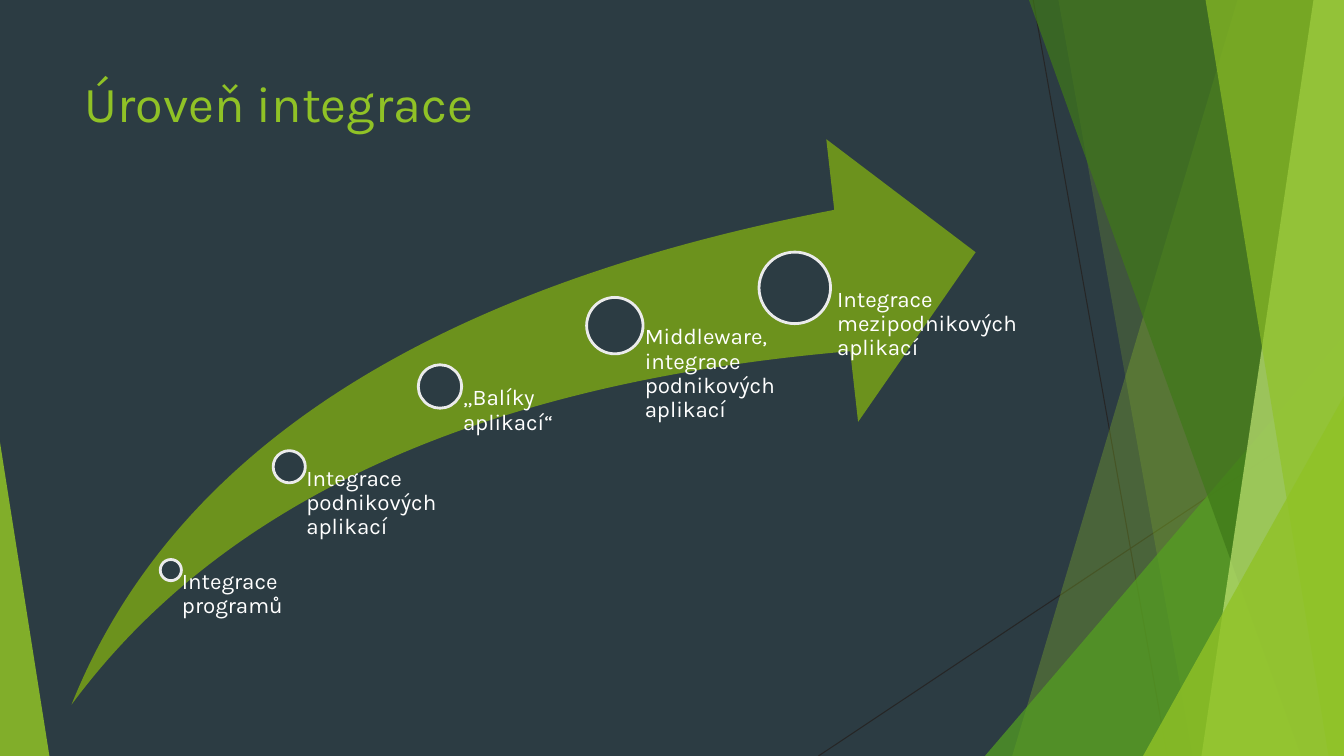
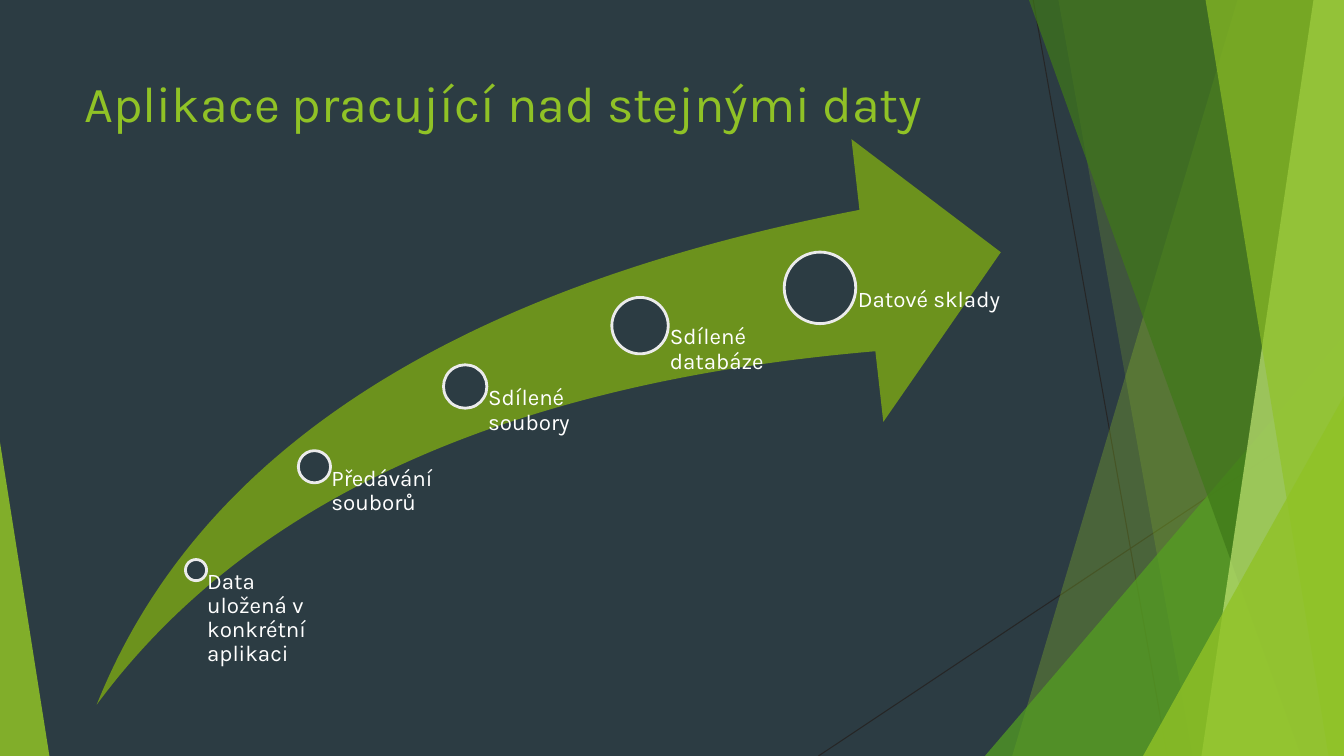
"""Build two slides that show integration steps along a rising arrow."""
from lxml import etree
from pptx import Presentation
from pptx.dml.color import RGBColor
from pptx.enum import shapes, text
from pptx.oxml import ns
from pptx.util import Pt

HUES = {
    "back": "2C3C43", "lime": "90C226", "green": "54A021", "dark": "3F7819",
    "pale": "C0E474", "arrow": "6C921D", "ring": "EBEBEB", "wire": "262626",
    "white": "FFFFFF",
}
FONT = "Karla"
WIDE, HIGH = 960, 540
KIND = shapes.MSO_SHAPE

WIRES = [(738, 0, 833.8, 540), (960, 290.2, 584.6, 540)]
DECOR = [
    ("band", (884, 723), "lime", 30),
    ("band", (756, 852), "lime", 20),
    ("peak", (703.5, 240, 256.5, 1), "green", 72),
    ("band", (735, 929.5), "dark", 70),
    ("band", (938.2, 858.2), "pale", 70),
    ("band", (861.1, 949), "lime", 65),
    ("peak", (816.5, 283, 143.5, 1), "lime", 80),
    ("peak", (0, 316, 35.3, 0), "lime", 85),
]

TOP, LONG, TALL = 99.4, 645.8, 403.9
STOPS = [
    (70.9, 407.2, 15.1, 85),
    (155.5, 333.4, 23, 107),
    (263.2, 276.1, 31, 124.5),
    (388.1, 232.6, 40.3, 129),
    (516.6, 205.6, 51.1, 129),
]
PAGES = [
    ("Úroveň integrace", 51.1, (3.2, 72), [
        "Integrace programů",
        "Integrace podnikových aplikací",
        "„Balíky aplikací“",
        "Middleware, integrace podnikových aplikací",
        "Integrace mezipodnikových aplikací",
    ]),
    ("Aplikace pracující nad stejnými daty", 69.1, (0, 0), [
        "Data uložená v konkrétní aplikaci",
        "Předávání souborů",
        "Sdílené soubory",
        "Sdílené databáze",
        "Datové sklady",
    ]),
]


def paint(shape, hue, alpha=100):
    shape.shadow.inherit = False
    shape.fill.solid()
    shape.fill.fore_color.rgb = RGBColor.from_string(HUES[hue])
    shape.line.fill.background()
    if alpha < 100:
        tone = shape._element.spPr.find(".//" + ns.qn("a:srgbClr"))
        etree.SubElement(tone, ns.qn("a:alpha"), val=str(alpha * 1000))


def write(slide, place, words, size, hue, pads, gap):
    frame = slide.shapes.add_textbox(*map(Pt, place)).text_frame
    frame.word_wrap = True
    frame.vertical_anchor = text.MSO_ANCHOR.TOP
    frame.margin_left, frame.margin_top, frame.margin_right, frame.margin_bottom = map(Pt, pads)
    para = frame.paragraphs[0]
    para.line_spacing = gap
    run = para.add_run()
    run.text = words
    run.font.size = Pt(size)
    run.font.name = FONT
    run.font.color.rgb = RGBColor.from_string(HUES[hue])


deck = Presentation()
deck.slide_width, deck.slide_height = Pt(WIDE), Pt(HIGH)
back = deck.slide_master.background.fill
back.solid()
back.fore_color.rgb = RGBColor.from_string(HUES["back"])

for title, left, (nudge, extra), labels in PAGES:
    slide = deck.slides.add_slide(deck.slide_layouts[6])

    for ends in WIRES:
        wire = slide.shapes.add_connector(shapes.MSO_CONNECTOR.STRAIGHT, *map(Pt, ends))
        wire.line.color.rgb = RGBColor.from_string(HUES["wire"])
        wire.line.width = Pt(0.75)
        etree.SubElement(wire._element.spPr, ns.qn("a:effectLst"))

    for kind, spots, hue, alpha in DECOR:
        if kind == "band":
            head, foot = spots
            pen = slide.shapes.build_freeform(Pt(head), 0)
            pen.add_line_segments([(Pt(x), Pt(y)) for x, y in
                                   [(WIDE, 0), (WIDE, HIGH), (foot, HIGH)]], close=True)
            shape = pen.convert_to_shape()
        else:
            x, y, width, tip = spots
            shape = slide.shapes.add_shape(KIND.ISOSCELES_TRIANGLE,
                                           *map(Pt, (x, y, width, HIGH - y)))
            shape.adjustments[0] = tip
        paint(shape, hue, alpha)

    write(slide, (53.3, 48.2, 676.8, 103.7), title, 36, "lime", (7.2, 3.6, 7.2, 3.6), 1.0)

    arrow = slide.shapes.add_shape(KIND.SWOOSH_ARROW, *map(Pt, (left, TOP, LONG, TALL)))
    arrow.adjustments[0] = arrow.adjustments[1] = 0.25
    paint(arrow, "arrow")

    for step, ((x, y, size, width), words) in enumerate(zip(STOPS, labels), 1):
        mid = left + x
        dot = slide.shapes.add_shape(KIND.OVAL,
                                     *map(Pt, (mid - size / 2, y - size / 2, size, size)))
        paint(dot, "back")
        dot.line.color.rgb = RGBColor.from_string(HUES["ring"])
        dot.line.width = Pt(2)
        if step == len(STOPS):
            mid, width = mid + nudge, width + extra
        write(slide, (mid, y, width, TOP + TALL - y), words, 16, "white",
              (size * 0.53, 0, 0, 0), 0.9)

deck.save("out.pptx")
